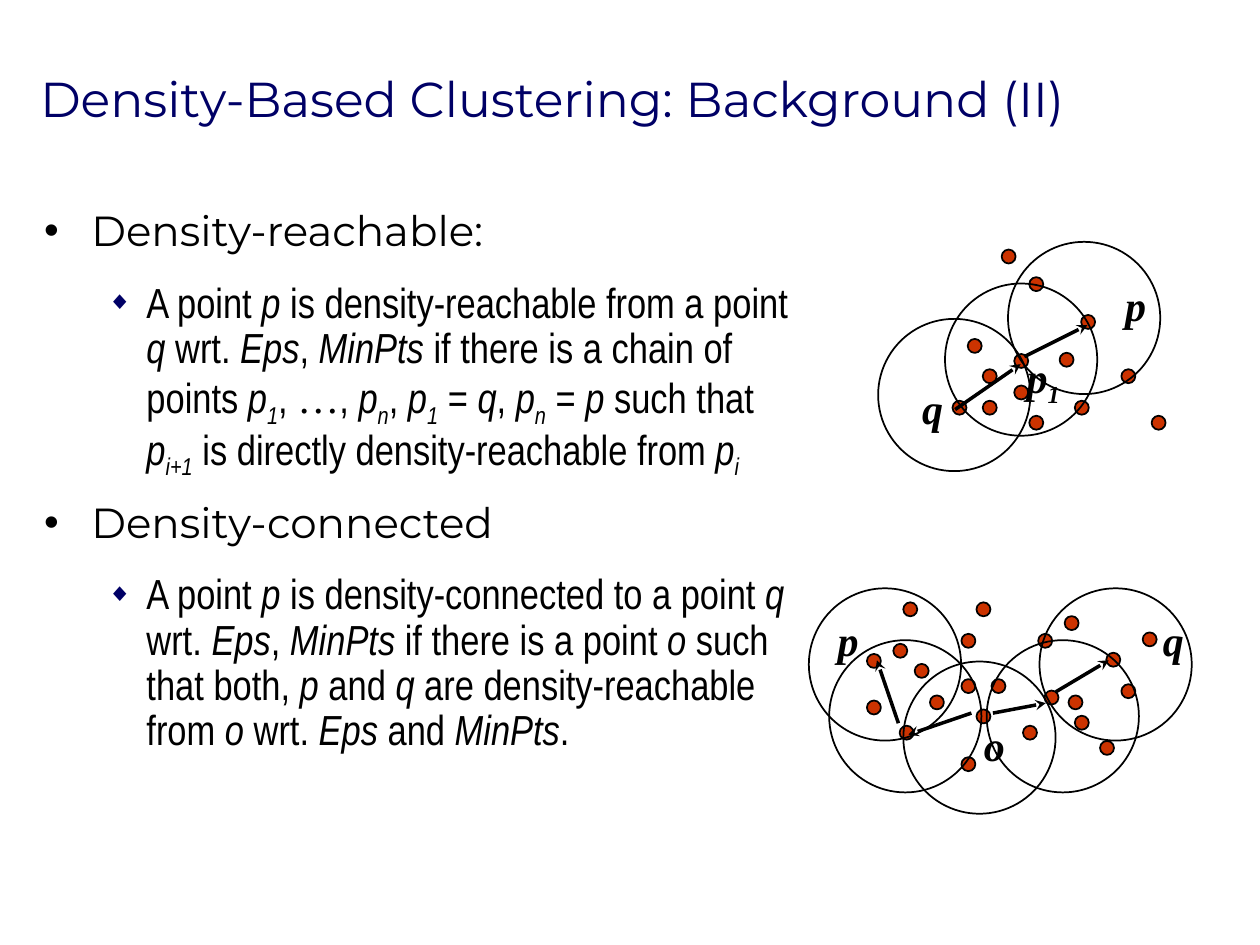
from lxml.etree import SubElement
from pptx import Presentation
from pptx.dml.color import RGBColor as RGB
from pptx.enum.shapes import MSO_CONNECTOR as CONN, MSO_SHAPE as SHAPE
from pptx.enum.text import MSO_ANCHOR as ANCHOR, MSO_AUTO_SIZE as AUTO, PP_ALIGN as ALIGN
from pptx.oxml.ns import qn
from pptx.util import Pt

COLORS = {"title": "000066", "text": "000000", "dot": "CC3300"}
HEAD, BODY, MATH = "Montserrat", "Arial Narrow", "Times New Roman"
TITLE = "Density-Based Clustering: Background (II)"

# Markup: *italic*, ~subscript~, |math font|
ITEMS = [
    (0, "Density-reachable:"),
    (1, "A point *p* is density-reachable from a point *q* wrt. *Eps*, *MinPts* "
        "if there is a chain of points *p~1~*, |…|, *p~n~*, *p~1~* = *q*, *p~n~* = *p* "
        "such that *p~i+1~* is directly density-reachable from *p~i~*"),
    (0, "Density-connected"),
    (1, "A point *p* is density-connected to a point *q* wrt. *Eps*, *MinPts* "
        "if there is a point *o *such that both, *p* and *q* are density-reachable "
        "from *o* wrt. *Eps* and *MinPts*."),
]
LEVELS = [
    dict(font=HEAD, bullet="•", color="text", percent=100, left=27, hang=27),
    dict(font=BODY, bullet="◆", color="title", percent=60, left=58.5, hang=22.5),
]

DOT, CIRCLE = 8, 87
REACHABLE = dict(
    dots=[(553, 193.7), (579.6, 202.3), (572.4, 142.6), (544.3, 229), (561.6, 211),
          (561.6, 229), (588.2, 237.6), (588.2, 158.4), (640.8, 211), (617.8, 180),
          (579.6, 220.3), (605.5, 201.6), (614.2, 229), (658.1, 237.6)],
    circles=[(540, 162), (501.8, 182.2), (576, 138.2)],
    labels=[("*p~1~*", 579.6, 197.3, 48.2), ("*p*", 635.8, 156.2, 30.2),
            ("*q*", 519.8, 215.3, 30.2)],
    arrows=[(585.4, 203.8, 621.4, 185.8), (545.8, 234, 583.2, 208.1)],
)
CONNECTED = dict(
    dots=[(522.7, 379.4), (549.4, 388.1), (549.4, 362.2), (514.1, 414.7), (531.4, 397.4),
          (549.4, 432.7), (558, 405.4), (558, 344.2), (610.6, 397.4), (593.3, 362.2),
          (495.4, 400.3), (566.6, 388.1), (584.6, 414.7), (628.6, 423.4), (640.8, 391),
          (596.9, 394.6), (614.2, 409), (653, 361.4), (608.4, 352.1), (632.2, 373),
          (510.5, 367.9), (495.4, 373.7), (516.2, 344.2)],
    circles=[(473.8, 365.8), (516.2, 378), (563.8, 365.8), (594, 336.2), (462.2, 336.2)],
    labels=[("*p*", 471.6, 347.8, 30.2), ("*q*", 657.4, 347.8, 30.2),
            ("*o*", 555.1, 407.5, 30.2)],
    arrows=[(555.1, 407.5, 519.1, 419.8), (567.4, 407.5, 597.6, 401.8),
            (513.4, 413.3, 501.1, 377.3), (603.4, 395.3, 633.6, 377.3)],
)


def rgb(name):
    return RGB.from_string(COLORS[name])


def write(p, text, font=BODY, size=24, color="text", bold=False):
    marks = {"*": False, "~": False, "|": False}
    part = ""
    for ch in text + "\0":
        if ch not in marks and ch != "\0":
            part += ch
            continue
        if part:
            r = p.add_run()
            r.text = part
            f = r.font
            f.name = MATH if marks["|"] else font
            f.size, f.bold, f.italic = Pt(size), bold, marks["*"]
            f.color.rgb = rgb(color)
            if marks["~"]:
                r._r.get_or_add_rPr().set("baseline", "-25000")
            part = ""
        if ch in marks:
            marks[ch] = not marks[ch]


def add_bullet(p, bullet, color, percent, left, hang):
    pPr = p._p.get_or_add_pPr()
    pPr.set("marL", str(Pt(left)))
    pPr.set("indent", str(-Pt(hang)))
    clr = SubElement(pPr, qn("a:buClr"))
    SubElement(clr, qn("a:srgbClr"), val=COLORS[color])
    SubElement(pPr, qn("a:buSzPct"), val=str(percent * 1000))
    SubElement(pPr, qn("a:buFont"), typeface="Arial")
    SubElement(pPr, qn("a:buChar"), char=bullet)


def place(sp, x, y, w, h, anchor):
    sp.left, sp.top, sp.width, sp.height = Pt(x), Pt(y), Pt(w), Pt(h)
    tf = sp.text_frame
    tf.word_wrap, tf.auto_size, tf.vertical_anchor = True, AUTO.NONE, anchor
    return tf


def add_ellipse(shapes, x, y, size, fill=None):
    sp = shapes.add_shape(SHAPE.OVAL, Pt(x), Pt(y), Pt(size), Pt(size))
    sp.shadow.inherit = False
    if fill:
        sp.fill.solid()
        sp.fill.fore_color.rgb = rgb(fill)
    else:
        sp.fill.background()
    sp.line.color.rgb, sp.line.width = rgb("text"), Pt(1)


def add_arrow(shapes, *ends):
    c = shapes.add_connector(CONN.STRAIGHT, *map(Pt, ends))
    c.line.color.rgb, c.line.width = rgb("text"), Pt(2)
    SubElement(c.line._get_or_add_ln(), qn("a:tailEnd"), type="stealth")
    SubElement(c._element.spPr, qn("a:effectLst"))


def draw(shapes, dots, circles, labels, arrows):
    for x, y in dots:
        add_ellipse(shapes, x, y, DOT, fill="dot")
    for x, y in circles:
        add_ellipse(shapes, x, y, CIRCLE)
    for text, x, y, w in labels:
        sp = shapes.add_textbox(Pt(x), Pt(y), Pt(w), Pt(36))
        sp.text_frame.word_wrap = True
        write(sp.text_frame.paragraphs[0], text, font=MATH, bold=True)
    for ends in arrows:
        add_arrow(shapes, *ends)


def main():
    prs = Presentation()
    prs.slide_width, prs.slide_height = Pt(720), Pt(540)
    s = prs.slides.add_slide(prs.slide_layouts[1])

    tf = place(s.shapes.title, 15.84, 23, 704.16, 66.2, ANCHOR.MIDDLE)
    p = tf.paragraphs[0]
    p.alignment = ALIGN.LEFT
    write(p, TITLE, font=HEAD, size=28, color="title")

    tf = place(s.placeholders[1], 18, 116.6, 444.2, 365.8, ANCHOR.TOP)
    for i, (level, text) in enumerate(ITEMS):
        p = tf.add_paragraph() if i else tf.paragraphs[0]
        style = dict(LEVELS[level])
        font = style.pop("font")
        p.level = level
        add_bullet(p, **style)
        p.line_spacing, p.space_before = 0.9, Pt(15 if i else 0)
        write(p, text, font=font)

    draw(s.shapes, **REACHABLE)
    draw(s.shapes.add_group_shape().shapes, **CONNECTED)
    prs.save("out.pptx")


if __name__ == "__main__":
    main()
